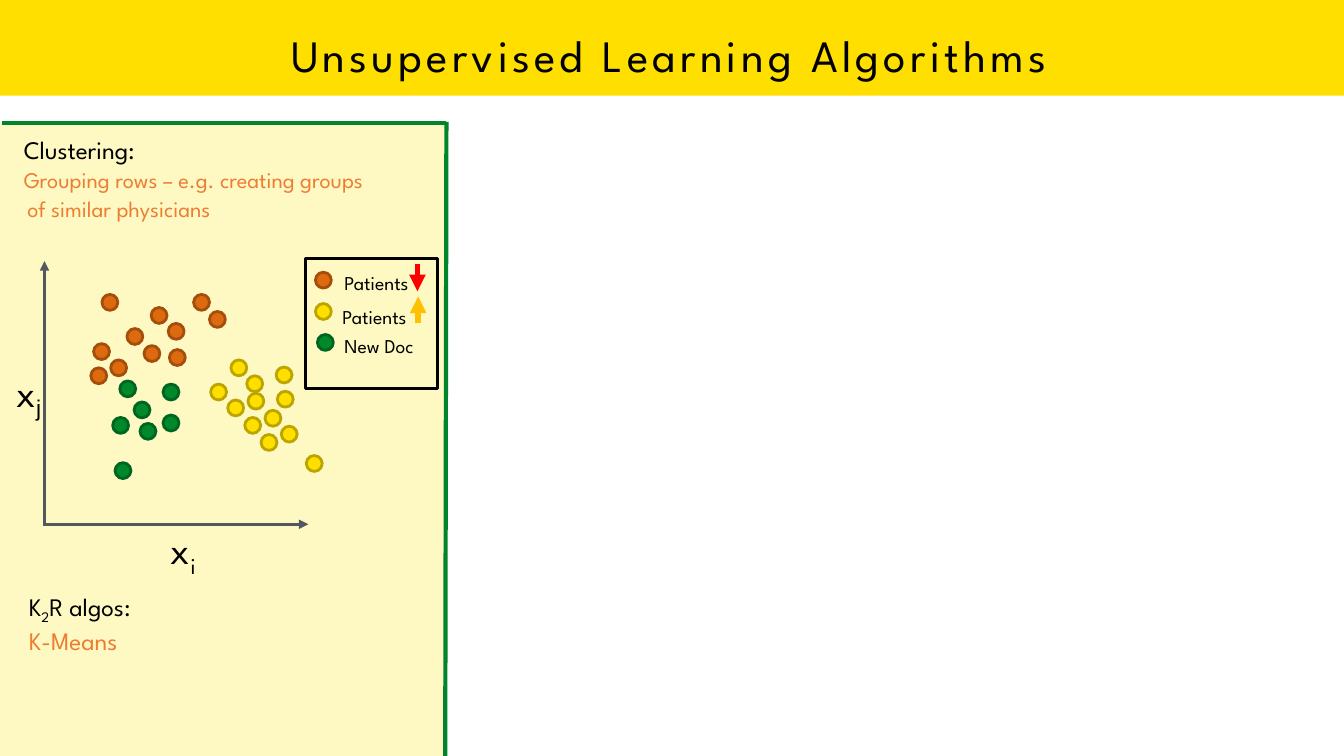
from lxml import etree
from pptx import Presentation
from pptx import util as u
from pptx.dml.color import RGBColor
from pptx.enum import shapes, text
from pptx.oxml.ns import qn

hues = {
    "black": "000000", "band": "FFDF00", "panel": "FDE831", "frame": "00852A",
    "note": "ED7D31", "axis": "53585F", "down": "FF0000", "up": "FFC000",
    "orange": "DE6A10", "rust": "A44E0C", "yellow": "FFDF00", "gold": "BDA500",
    "green": "00882B", "pine": "006520",
}
tint = {name: RGBColor.from_string(code) for name, code in hues.items()}

deck = Presentation()
deck.slide_width, deck.slide_height = u.Cm(33.87), u.Cm(19.05)
slide = deck.slides.add_slide(deck.slide_layouts[6])
form = shapes.MSO_SHAPE


def draw(kind, box, fill=None, edge=None):
    shape = slide.shapes.add_shape(kind, *map(u.Cm, box))
    shape.shadow.inherit = False
    if fill:
        shape.fill.solid()
        shape.fill.fore_color.rgb = tint[fill]
    else:
        shape.fill.background()
    if edge:
        shape.line.color.rgb = tint[edge]
        shape.line.width = u.Pt(2)
    else:
        shape.line.fill.background()
    return shape


def write(box, lines, inset=0.25):
    frame = slide.shapes.add_textbox(*map(u.Cm, box)).text_frame
    frame.word_wrap = True
    frame.margin_left = frame.margin_right = u.Cm(inset)
    frame.margin_top = frame.margin_bottom = u.Cm(0.13)
    for i, (runs, size, hue, indent) in enumerate(lines):
        para = frame.add_paragraph() if i else frame.paragraphs[0]
        para.font.size = u.Pt(size)
        para.font.color.rgb = tint[hue]
        para.font.name = "League Spartan"
        if indent:
            para._p.get_or_add_pPr().set("marL", str(u.Cm(indent)))
        for j, words in enumerate(runs):
            run = para.add_run()
            run.text = words
            if j == 1:
                run.font._element.set("baseline", "-25000")
    return frame


draw(form.RECTANGLE, (-0.03, -0.03, 33.9, 2.44), "band")
panel = draw(form.RECTANGLE, (0, 3.12, 11.23, 15.93), "panel")
shade = panel.fill._xPr.find(".//" + qn("a:srgbClr"))
etree.SubElement(shade, qn("a:alpha")).set("val", "29000")

dots = [
    ("orange", "rust", [
        (2.57, 7.42), (2.36, 8.66), (2.79, 9.07), (3.81, 7.75), (2.29, 9.27), (3.2, 8.28),
        (3.63, 8.71), (4.27, 8.81), (4.88, 7.42), (4.24, 8.15), (5.28, 7.85), (7.95, 6.86)]),
    ("yellow", "gold", [
        (7.72, 11.48), (6.58, 10.95), (7.09, 10.74), (6.99, 9.86), (6.17, 10.52),
        (5.74, 10.08), (6.68, 10.34), (6.22, 9.47), (6.96, 9.25), (7.95, 7.65),
        (5.31, 9.68), (6.25, 9.91), (5.82, 9.07)]),
    ("green", "pine", [
        (8, 8.43), (4.11, 9.68), (2.84, 10.52), (2.9, 11.66), (3.53, 10.67),
        (3.38, 10.13), (3.02, 9.6), (4.11, 10.46)]),
]
for fill, edge, spots in dots:
    for x, y in spots:
        draw(form.OVAL, (x, y, 0.4, 0.4), fill, edge)
draw(form.RECTANGLE, (7.7, 6.52, 3.33, 3.28), edge="black")

lines = [
    ((11.25, 3.07, 11.22, 19.05), "frame", 3, False),
    ((0.05, 3.09, 11.25, 3.09), "frame", 3, False),
    ((1.09, 13.21, 7.77, 13.21), "axis", 2.25, True),
    ((1.12, 13.23, 1.12, 6.58), "axis", 2.25, True),
    ((10.52, 6.65, 10.52, 7.34), "down", 4, True),
    ((10.54, 8.15, 10.54, 7.47), "up", 4, True),
]
for ends, hue, width, arrow in lines:
    line = slide.shapes.add_connector(shapes.MSO_CONNECTOR.STRAIGHT, *map(u.Cm, ends))
    line.line.color.rgb = tint[hue]
    line.line.width = u.Pt(width)
    if arrow:
        etree.SubElement(line.line._get_or_add_ln(), qn("a:tailEnd")).set("type", "triangle")
    etree.SubElement(line._element.spPr, qn("a:effectLst"))

intro = write((0, 3.25, 11.18, 2.49), [
    (["Clustering:"], 18, "black", 0.47),
    (["Grouping rows – e.g. creating groups"], 16, "note", 0.47),
    (["of similar physicians"], 16, "note", 0.56)], 0.13)
for para in intro.paragraphs[1:]:
    para.space_before = u.Pt(1.5)
write((4.06, 13.11, 2.13, 1.45), [(["x", "i"], 28, "black", 0)])
rise = write((0.17, 9.14, 2.13, 1.45), [(["x", "j"], 28, "black", 0)])
rise.paragraphs[0].runs[1].font.name = "Arial"
for x, y, label in [(8.43, 6.7, "Patients"), (8.38, 7.56, "Patients"), (8.43, 8.29, "New Doc")]:
    write((x, y, 3.07, 0.86), [([label], 14, "black", 0)])
write((-0.03, 14.76, 11.18, 1.8), [
    (["K", "2", "R algos:"], 18, "black", 0.63),
    (["K-Means"], 18, "note", 0.63)], 0.13)

title = write((-0.1, 0, 33.93, 2.74), [(["Unsupervised Learning Algorithms"], 32, "black", 0)])
title.vertical_anchor = text.MSO_ANCHOR.MIDDLE
title.paragraphs[0].alignment = text.PP_ALIGN.CENTER
title.paragraphs[0].runs[0].font._element.set("spc", "300")

deck.save("out.pptx")
